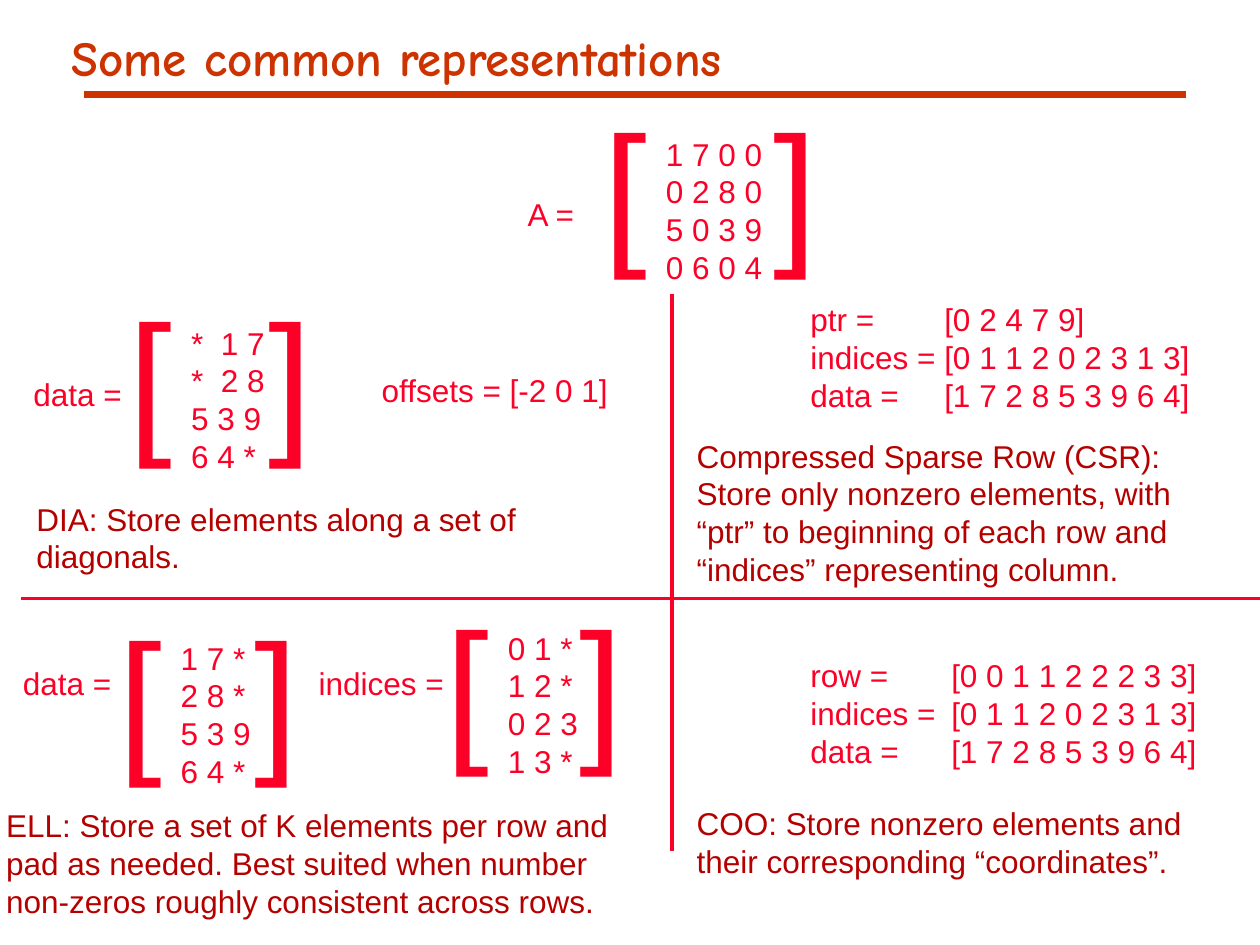
from lxml.etree import SubElement
from pptx import Presentation
from pptx.dml.color import RGBColor
from pptx.enum.shapes import MSO_CONNECTOR
from pptx.enum.text import MSO_ANCHOR, MSO_AUTO_SIZE, PP_ALIGN
from pptx.oxml.ns import qn
from pptx.util import Pt

ORANGE, RED, DARK_RED = "CC3300", "FC0128", "B50000"

prs = Presentation()
prs.slide_width, prs.slide_height = Pt(720), Pt(540)
slide = prs.slides.add_slide(prs.slide_layouts[5])


def rgb(hex_string):
    return RGBColor.from_string(hex_string)


def write(text, left, top, width, height, color=RED, size=18, wrap=True, indent=0, tab=None):
    """Add a text box; indent moves the text right, tab is a tab stop."""
    box = slide.shapes.add_textbox(Pt(left), Pt(top), Pt(width), Pt(height))
    frame = box.text_frame
    frame.word_wrap = wrap
    frame.auto_size = MSO_AUTO_SIZE.SHAPE_TO_FIT_TEXT
    frame.margin_left = Pt(7.2 + indent)
    frame.text = text
    for paragraph in frame.paragraphs:
        if tab:
            stops = SubElement(paragraph._p.get_or_add_pPr(), qn("a:tabLst"))
            SubElement(stops, qn("a:tab"), pos=str(Pt(tab)), algn="l")
        for run in paragraph.runs:
            run.font.name = "Arial"
            run.font.size = Pt(size)
            run.font.color.rgb = rgb(color)


# Title
title = slide.shapes.title
title.left, title.top, title.width, title.height = Pt(36), Pt(18), Pt(648), Pt(90)
heading = title.text_frame
heading.text = "Some common representations"
heading.vertical_anchor = MSO_ANCHOR.TOP
heading.auto_size = MSO_AUTO_SIZE.NONE
heading.margin_left = heading.margin_right = Pt(5)
heading.margin_top = heading.margin_bottom = Pt(2.4)
heading_line = heading.paragraphs[0]
heading_line.alignment = PP_ALIGN.LEFT
heading_line.line_spacing = 0.87
heading_font = heading_line.runs[0].font
heading_font.name, heading_font.size, heading_font.bold = "Comic Neue", Pt(28), True
heading_font.color.rgb = rgb(ORANGE)

# Title rule and the lines between the four quadrants
for x1, y1, x2, y2, color, weight in [
    (48, 54, 678, 54, ORANGE, 3.75),
    (384, 168, 384, 486, RED, 2),
    (12, 342, 720, 342, RED, 2),
]:
    rule = slide.shapes.add_connector(MSO_CONNECTOR.STRAIGHT, Pt(x1), Pt(y1), Pt(x2), Pt(y2))
    rule.line.color.rgb = rgb(color)
    rule.line.width = Pt(weight)
    SubElement(rule._element.spPr, qn("a:effectLst"))

# Matrices: rows, left and top of the numbers, top of the brackets, left of the closing one
for rows, left, top, bracket_top, closing_left in [
    ("1 7 0 0\n0 2 8 0\n5 0 3 9\n0 6 0 4", 368.4, 73.4, 48.2, 434.9),
    ("*\t1 7\n*\t2 8\n5 3 9\n6 4 *", 97, 181.4, 156.2, 146.2),
    ("1 7 *\n2 8 *\n5 3 9\n6 4 *", 91, 361.4, 338, 138.2),
    ("0 1 *\n1 2 *\n0 2 3\n1 3 *", 278, 355.7, 332, 324),
]:
    write(rows, left, top, 78, 93.6, indent=5, tab=17)
    for bracket, bracket_left in [("[", left - 30.6), ("]", closing_left)]:
        write(bracket, bracket_left, bracket_top, 39, 115.2, size=90, wrap=False)

# Names of the matrices
for label, left, top, width in [
    ("A =", 294.5, 108, 42),
    ("data =", 12, 211, 72),
    ("offsets = [-2 0 1]", 211, 208.4, 173),
    ("data =", 6, 376, 72),
    ("indices =", 175, 376, 91),
]:
    write(label, left, top, width, 28.8, wrap=label != "A =")

# Arrays of the CSR and COO formats
write("ptr =\t[0 2 4 7 9]\nindices =\t[0 1 1 2 0 2 3 1 3]\ndata =\t[1 7 2 8 5 3 9 6 4]",
      456, 168, 360, 72, tab=76.5)
write("row =\t[0 0 1 1 2 2 2 3 3]\nindices =\t[0 1 1 2 0 2 3 1 3]\ndata =\t[1 7 2 8 5 3 9 6 4]",
      456, 371.5, 246, 72, tab=80.5)

# Descriptions
for description, left, top, width, height in [
    ("DIA: Store elements along a set of diagonals.", 13.7, 282, 375, 28.8),
    ("Compressed Sparse Row (CSR): Store only nonzero elements, with “ptr” to beginning "
     "of each row and “indices” representing column.", 391, 246, 311, 93.6),
    ("ELL: Store a set of K elements per row and pad as needed. Best suited when number "
     "non-zeros roughly consistent across rows.", -3.6, 457, 376, 72),
    ("COO: Store nonzero elements and their corresponding “coordinates”.", 391, 456, 293, 50.4),
]:
    write(description, left, top, width, height, color=DARK_RED,
          wrap=not description.startswith("DIA"))

prs.save("out.pptx")
